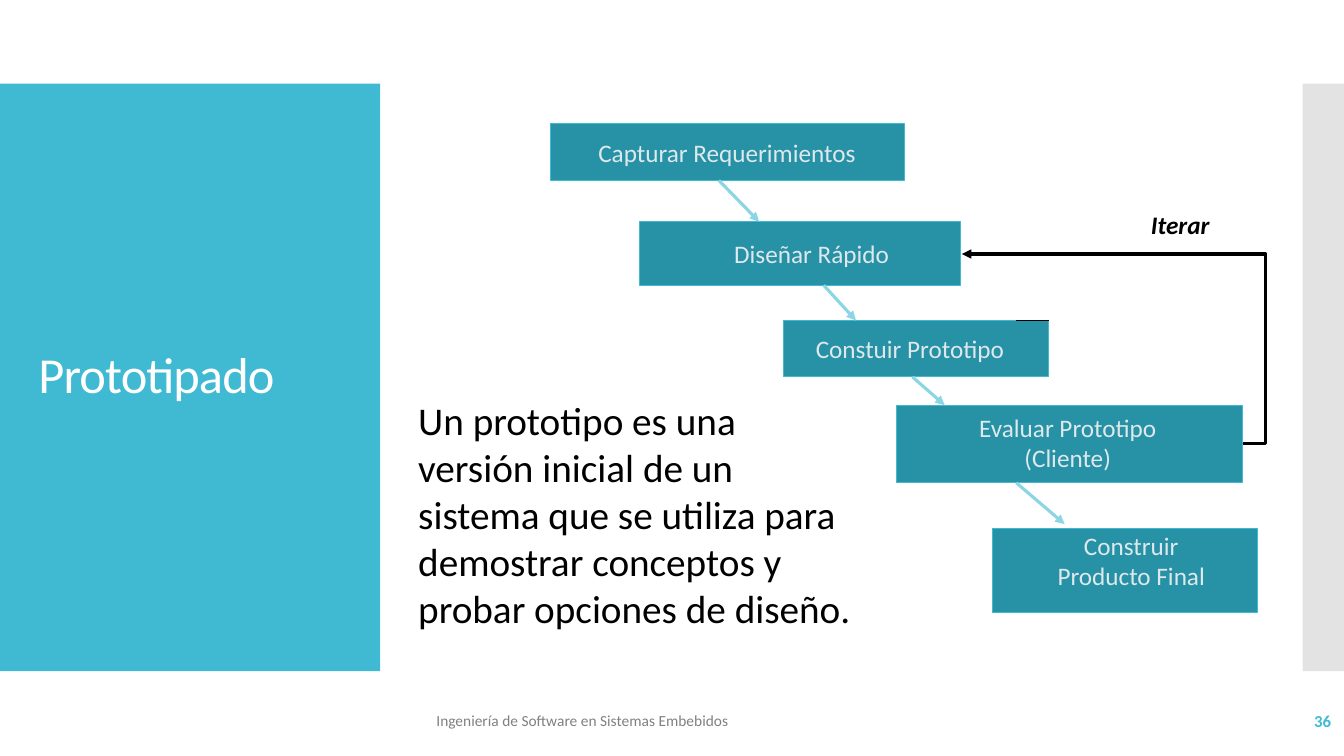
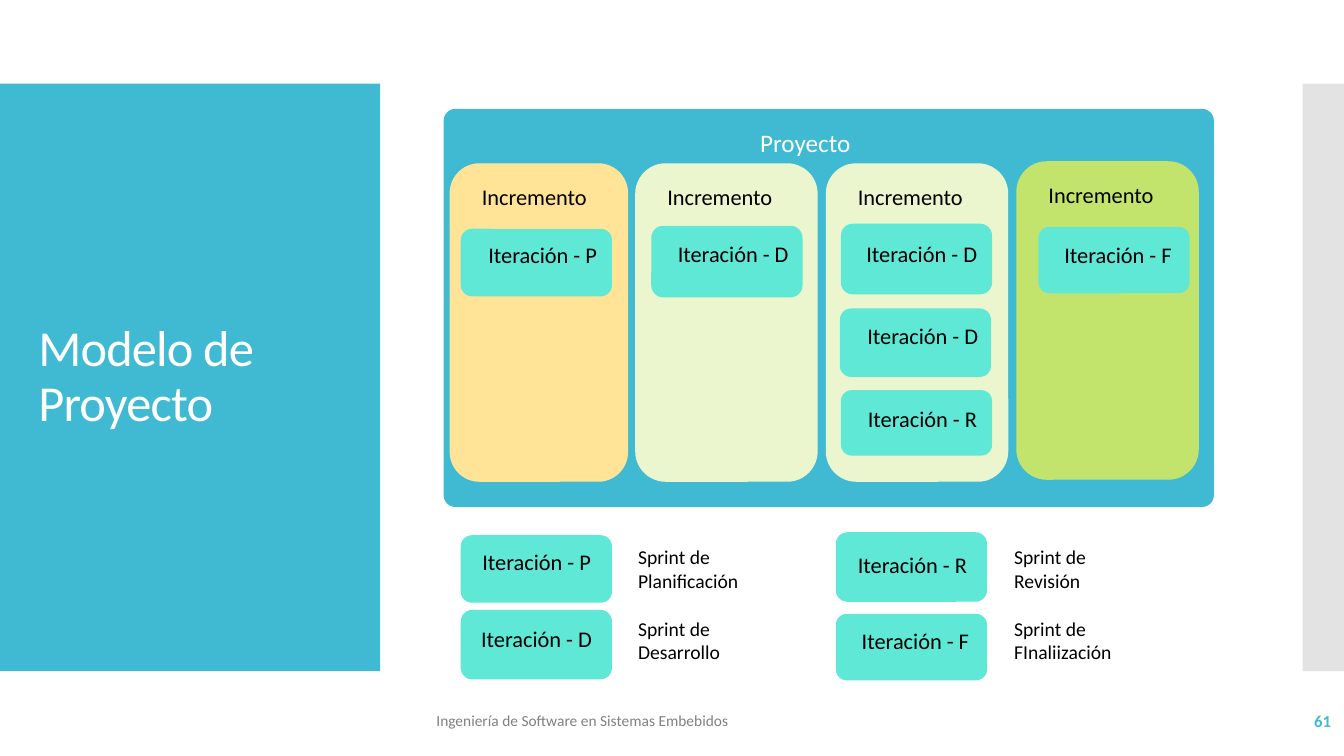
"""Build two course slides: a prototyping flow and a project model."""
import pptx
import pptx.util
import pptx.dml.color
import pptx.enum.shapes
import pptx.enum.text
import pptx.oxml.ns
import lxml.etree

SCALE = 9144
TEAL, DEEP, PALE, MINT = "40BAD2", "2791A6", "8CD6E4", "5FE8D6"
WHITE, BLACK, GREY, MIST = "FFFFFF", "000000", "808080", "DDE9EC"
KIND = pptx.enum.shapes.MSO_SHAPE
LINK = pptx.enum.shapes.MSO_CONNECTOR
ALIGN = pptx.enum.text.PP_ALIGN
ANCHOR = pptx.enum.text.MSO_ANCHOR

FOOTER = "Ingeniería de Software en Sistemas Embebidos"
BANDS = [((0, 83, 377, 583), TEAL, 100), ((1292, 83, 42, 583), "C8C8C8", 50)]
TITLE = (28, 123, 322, 503)

STEPS = [
    ("Capturar Requerimientos", (546, 123, 351, 56), (580, 131, 282, 40)),
    ("Diseñar Rápido", (634, 220, 319, 63), (716, 232, 178, 40)),
    ("Constuir Prototipo", (777, 318, 263, 56), (796, 326, 213, 40)),
    ("Evaluar Prototipo\n(Cliente)", (889, 402, 343, 77), (955, 404, 208, 71)),
    ("Construir\nProducto Final", (984, 524, 263, 84), (1036, 521, 172, 71)),
]
ARROWS = [(713, 179, 753, 220), (817, 283, 849, 318),
          (905, 374, 937, 402), (1008, 479, 1056, 520)]
TICK = (1040, 318, 1008, 318)
LOOP = (1233, 440, 954, 252)
BEND = -8000
BODY = ("Un prototipo es una versión inicial de un sistema que se utiliza "
        "para demostrar conceptos y probar opciones de diseño.")

PROJECT = (440, 108, 764, 395)
COLUMNS = [((446, 162, 177, 316), "FFE497"), ((630, 162, 181, 316), "EBF6CE"),
           ((819, 162, 181, 316), "EBF6CE"), ((1008, 160, 181, 316), "C2E46D")]
SPRINTS = [
    ("P", (457, 227, 150, 67), (602, 234)),
    ("D", (646, 224, 150, 71), (792, 233)),
    ("D", (834, 222, 150, 70), (979, 233)),
    ("D", (833, 306, 150, 68), (980, 315)),
    ("R", (834, 387, 150, 65), (979, 397)),
    ("F", (1030, 225, 150, 66), (1172, 234)),
    ("P", (457, 531, 150, 67), (596, 539)),
    ("D", (457, 605, 150, 69), (597, 615)),
    ("R", (829, 528, 150, 69), (969, 542)),
    ("F", (829, 609, 150, 66), (971, 617)),
]
LEGEND = [("Planificación", 623, 536), ("Desarrollo", 623, 607),
          ("Revisión", 996, 536), ("FInaliización", 996, 607)]


def px(*nums):
    return [pptx.util.Emu(n * SCALE) for n in nums]


def rgb(code):
    return pptx.dml.color.RGBColor.from_string(code)


def sub(node, tag, **attrs):
    return lxml.etree.SubElement(node, pptx.oxml.ns.qn(tag), attrs)


def fill_text(frame, text, size, color, align=ALIGN.LEFT, **more):
    frame.text = text
    look = {"name": "Calibri", "size": pptx.util.Pt(size), **more}
    for para in frame.paragraphs:
        para.alignment = align
        for run in para.runs:
            for key, val in look.items():
                setattr(run.font, key, val)
            run.font.color.rgb = rgb(color)


def label(slide, text, rect, size, color, align=ALIGN.LEFT, wrap=True,
          anchor=ANCHOR.TOP, **more):
    frame = slide.shapes.add_textbox(*px(*rect)).text_frame
    for key, val in {"word_wrap": wrap, "vertical_anchor": anchor}.items():
        setattr(frame, key, val)
    fill_text(frame, text, size, color, align, **more)


def block(slide, rect, color, kind=KIND.RECTANGLE, edge=None):
    shape = slide.shapes.add_shape(kind, *px(*rect))
    shape.shadow.inherit = False
    shape.fill.solid()
    shape.fill.fore_color.rgb = rgb(color)
    if edge:
        shape.line.color.rgb = rgb(edge)
        shape.line.width = pptx.util.Pt(0.75)
    else:
        shape.line.fill.background()
    return shape


def link(slide, ends, color, width, head=True, kind=LINK.STRAIGHT):
    line = slide.shapes.add_connector(kind, *px(*ends))
    line.line.color.rgb = rgb(color)
    line.line.width = pptx.util.Pt(width)
    if head:
        sub(line.line._get_or_add_ln(), "a:tailEnd", type="triangle")
    sub(line._element.spPr, "a:effectLst")
    return line


def add_bands(slide, layout):
    for num, (rect, color, alpha) in enumerate(BANDS):
        node = block(slide, rect, color)._element
        tint = node.spPr.find(".//" + pptx.oxml.ns.qn("a:srgbClr"))
        sub(tint, "a:alpha", val=str(alpha * 1000))
        node.nvSpPr.cNvPr.set("id", str(90 + num))
        layout.shapes._spTree.insert(2 + num, node)


def new_slide(deck, title, page):
    layout = deck.slide_layouts[5]
    slide = deck.slides.add_slide(layout)
    if len(deck.slides) == 1:
        add_bands(slide, layout)
    head = slide.shapes.title
    for key, val in zip(("left", "top", "width", "height"), px(*TITLE)):
        setattr(head, key, val)
    frame = head.text_frame
    fill_text(frame, title, 36, WHITE)
    look = {"vertical_anchor": ANCHOR.MIDDLE, "word_wrap": True,
            "auto_size": pptx.enum.text.MSO_AUTO_SIZE.NONE}
    for key, val in look.items():
        setattr(frame, key, val)
    para = frame.paragraphs[0]
    para.line_spacing = 0.9
    para.runs[0].font._element.set("spc", "-60")
    label(slide, FOOTER, (423, 695, 646, 40), 11, GREY, anchor=ANCHOR.MIDDLE)
    label(slide, page, (1163, 695, 167, 40), 12, TEAL, ALIGN.RIGHT,
          anchor=ANCHOR.MIDDLE, bold=True)
    return slide


def draw_flow(deck):
    slide = new_slide(deck, "Prototipado", "36")
    for text, rect, spot in STEPS:
        block(slide, rect, DEEP, edge=TEAL)
        label(slide, text, spot, 18, MIST, ALIGN.CENTER, False)
    link(slide, TICK, BLACK, 0.75, False)
    for ends in ARROWS:
        link(slide, ends, PALE, 2.25)
    loop = link(slide, LOOP, BLACK, 2.25, kind=LINK.ELBOW)
    guide = loop._element.spPr.find(".//" + pptx.oxml.ns.qn("a:avLst"))
    sub(guide, "a:gd", name="adj1", fmla=f"val {BEND}")
    label(slide, "Iterar", (1130, 203, 81, 40), 18, BLACK, ALIGN.CENTER,
          False, bold=True, italic=True)
    label(slide, BODY, (405, 388, 457, 246), 28, BLACK)


def draw_model(deck):
    slide = new_slide(deck, "Modelo de Proyecto", "61")
    card = KIND.ROUNDED_RECTANGLE
    block(slide, PROJECT, TEAL, card).adjustments[0] = 0.03
    label(slide, "Proyecto", (744, 121, 116, 40), 18, WHITE, wrap=False)
    for rect, color in COLUMNS:
        block(slide, rect, color, card)
        label(slide, "Incremento", (rect[0] + 22, rect[1] + 15, 139, 37),
              16, BLACK)
    for code, rect, (right, top) in SPRINTS:
        block(slide, rect, MINT, card)
        label(slide, f"Iteración - {code}", (right - 146, top, 146, 37),
              16, BLACK, ALIGN.RIGHT)
    for name, left, top in LEGEND:
        label(slide, f"Sprint de {name}", (left, top, 150, 57), 14, BLACK)


def main():
    deck = pptx.Presentation()
    deck.slide_width, deck.slide_height = px(1333, 750)
    draw_flow(deck)
    draw_model(deck)
    deck.save("out.pptx")


if __name__ == "__main__":
    main()
